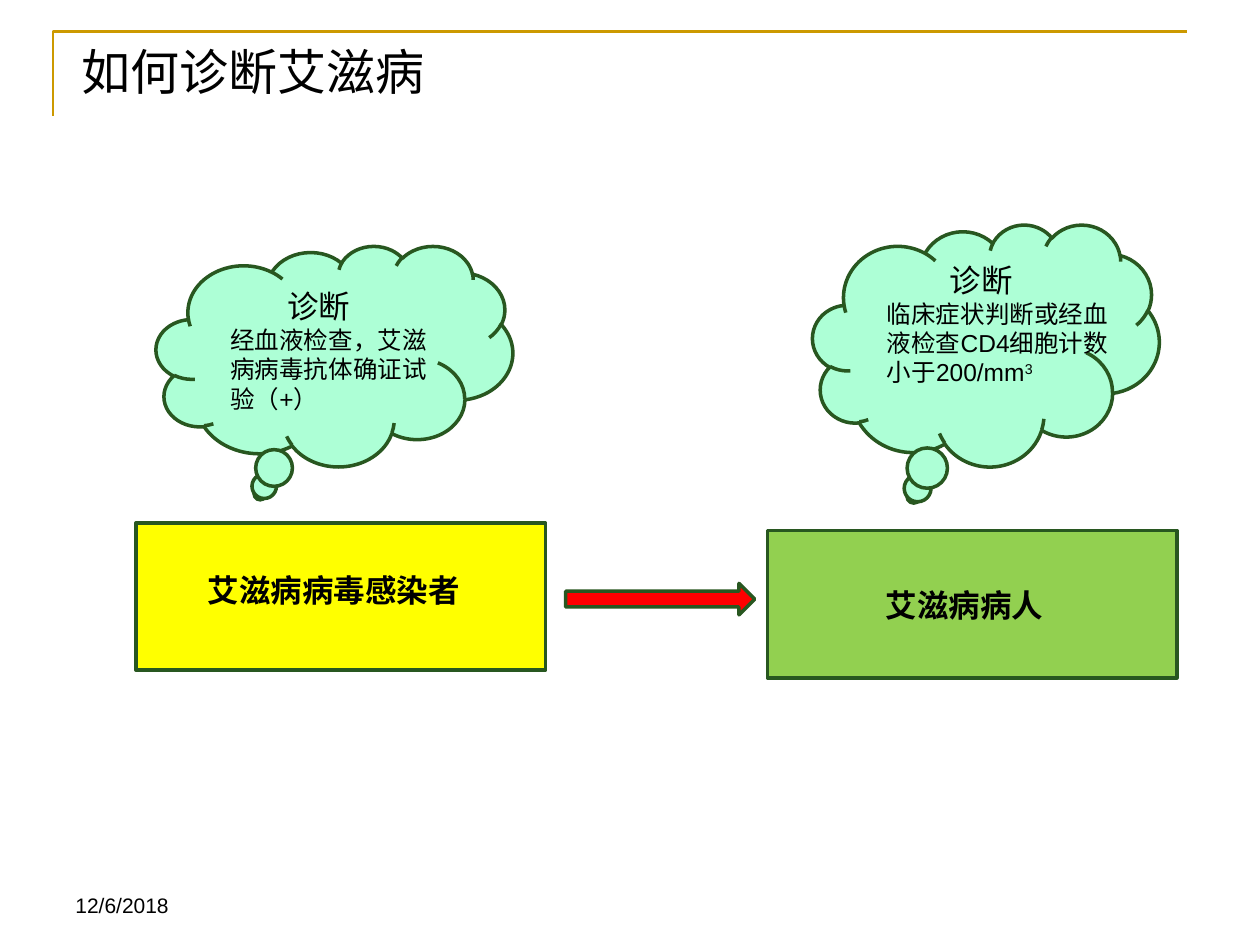
from pptx import Presentation
from pptx.dml.color import RGBColor
from pptx.enum import shapes, text
from pptx.util import Inches, Pt

COLORS = {
    "frame": "CC9900",
    "outline": "285720",
    "text": "000000",
    "infected": "FFFF00",
    "patient": "92D050",
    "cloud": "ADFFD6",
    "arrow": "FF0000",
}


def add_text(s, box, paragraphs, bold=False, anchor=text.MSO_ANCHOR.TOP):
    tb = s.shapes.add_textbox(*map(Inches, box))
    tf = tb.text_frame
    tf.word_wrap = True
    tf.vertical_anchor = anchor
    for i, (content, size, indent, superscript) in enumerate(paragraphs):
        p = tf.paragraphs[0] if i == 0 else tf.add_paragraph()
        if indent:
            p._p.get_or_add_pPr().set("marL", str(Inches(indent)))
        for part, baseline in ((content, 0), (superscript, 30000)):
            if not part:
                continue
            r = p.add_run()
            r.text = part
            r.font.size = Pt(size)
            r.font.name = "Arial"
            r.font.bold = bold
            r.font.color.rgb = RGBColor.from_string(COLORS["text"])
            if baseline:
                r._r.get_or_add_rPr().set("baseline", str(baseline))
    return tb


def add_block(s, kind, box, color):
    sp = s.shapes.add_shape(kind, *map(Inches, box))
    sp.shadow.inherit = False
    sp.fill.solid()
    sp.fill.fore_color.rgb = RGBColor.from_string(COLORS[color])
    sp.line.color.rgb = RGBColor.from_string(COLORS["outline"])
    sp.line.width = Pt(2)
    return sp


prs = Presentation()
prs.slide_width, prs.slide_height = Inches(10), Inches(7.5)
s = prs.slides.add_slide(prs.slide_layouts[6])

fb = s.shapes.build_freeform(Inches(0.42), Inches(0.92))
fb.add_line_segments(
    [(Inches(0.42), Inches(0.25)), (Inches(9.42), Inches(0.25))], close=False
)
frame = fb.convert_to_shape()
frame.shadow.inherit = False
frame.fill.background()
frame.line.color.rgb = RGBColor.from_string(COLORS["frame"])
frame.line.width = Pt(1.5)

add_text(s, (0.5, 6.83, 1.98, 0.5), [("12/6/2018", 12, 0, "")],
         anchor=text.MSO_ANCHOR.BOTTOM)
add_text(s, (0.55, 0.28, 3.78, 0.57), [("如何诊断艾滋病", 28, 0, "")])

stages = [
    ("艾滋病病毒感染者", "infected", (1.08, 4.15, 3.25, 1.17), (1.55, 4.48, 2.43, 0.4)),
    ("艾滋病病人", "patient", (6.09, 4.21, 3.25, 1.17), (6.93, 4.6, 2.01, 0.4)),
]
for label, color, box, label_box in stages:
    add_block(s, shapes.MSO_SHAPE.RECTANGLE, box, color)
    add_text(s, label_box, [(label, 18, 0, "")], bold=True)

add_block(s, shapes.MSO_SHAPE.RIGHT_ARROW, (4.49, 4.63, 1.5, 0.25), "arrow")

diagnoses = [
    ("经血液检查，艾滋病病毒抗体确证试验（+）", "", 0.45,
     (1.24, 1.95, 2.83, 1.75), (1.73, 2.23, 1.86, 1.11)),
    ("临床症状判断或经血液检查CD4细胞计数小于200/mm", "3", 0.5,
     (6.45, 1.78, 2.75, 1.92), (6.94, 2.02, 2.01, 1.11)),
]
for content, superscript, indent, box, text_box in diagnoses:
    add_block(s, shapes.MSO_SHAPE.CLOUD_CALLOUT, box, "cloud")
    add_text(s, text_box, [("诊断", 18, indent, ""), (content, 14, 0, superscript)])

prs.save("out.pptx")
